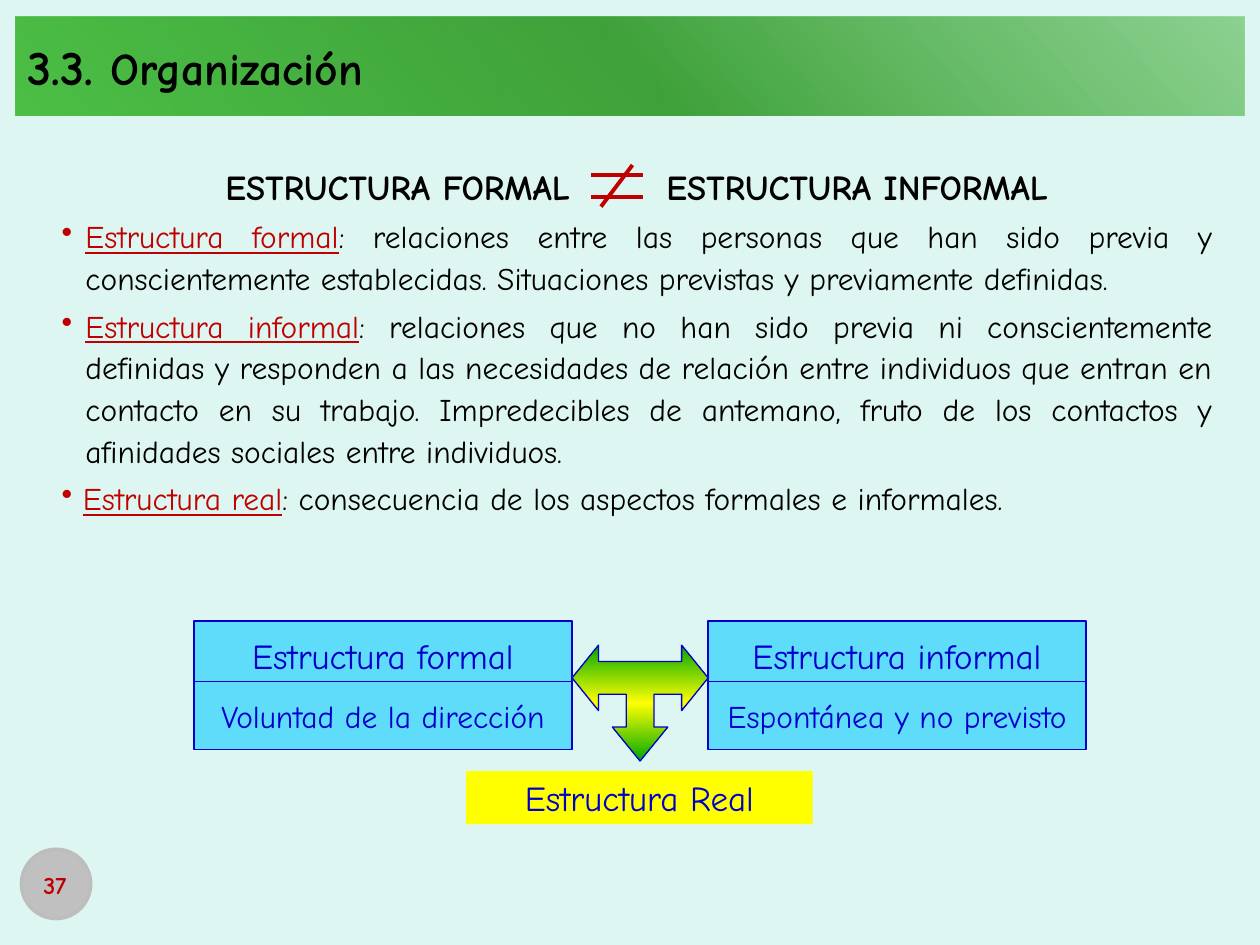
from lxml import etree
from pptx import Presentation
from pptx.dml.color import RGBColor
from pptx.enum.shapes import MSO_CONNECTOR, MSO_SHAPE as SHAPE
from pptx.enum.text import MSO_ANCHOR as ANCHOR, PP_ALIGN as ALIGN
from pptx.oxml import parse_xml
from pptx.oxml.ns import nsdecls, qn
from pptx.util import Inches, Pt

MINT = RGBColor(0xDE, 0xF6, 0xF1)
RED = RGBColor(0xC0, 0x00, 0x00)
BLACK = RGBColor(0x00, 0x00, 0x00)
BLUE = RGBColor(0x00, 0x00, 0xCC)
CYAN = RGBColor(0x5F, 0xDC, 0xF9)
YELLOW = RGBColor(0xFF, 0xFF, 0x00)
GREY = RGBColor(0xC0, 0xC0, 0xC0)
DARK_GREY = RGBColor(0xBD, 0xBD, 0xBD)
LIME = RGBColor(0x00, 0xA8, 0x00)
LEAF = RGBColor(0x52, 0xB7, 0x4D)
FOREST = RGBColor(0x3F, 0xA1, 0x3A)
GRASS = RGBColor(0x4B, 0xBF, 0x45)


class SlideBuilder:
    font = "Comic Neue"

    def __init__(self, prs):
        self.s = prs.slides.add_slide(prs.slide_layouts[6])
        fill = self.s.background.fill
        fill.solid()
        fill.fore_color.rgb = MINT

    def run(self, p, text, size, color, bold=False, underline=None):
        r = p.add_run()
        r.text = text
        f = r.font
        f.name, f.size, f.bold, f.underline = self.font, Pt(size), bold, underline
        f.color.rgb = color

    def line_style(self, sp, color, width):
        if color is None:
            sp.line.fill.background()
        else:
            sp.line.color.rgb = color
            sp.line.width = Pt(width)

    def shape(self, kind, x, y, w, h, fill=None, line=None, width=0.75):
        sp = self.s.shapes.add_shape(kind, Inches(x), Inches(y), Inches(w), Inches(h))
        sp.shadow.inherit = False
        if fill is not None:
            sp.fill.solid()
            sp.fill.fore_color.rgb = fill
        self.line_style(sp, line, width)
        return sp

    def label_box(self, text, size, x, y, w, h, fill, line=None):
        sp = self.shape(SHAPE.RECTANGLE, x, y, w, h, fill, line)
        tf = sp.text_frame
        tf.word_wrap = False
        tf.vertical_anchor = ANCHOR.MIDDLE
        tf.paragraphs[0].alignment = ALIGN.CENTER
        self.run(tf.paragraphs[0], text, size, BLUE)

    def text_frame(self, x, y, w, h, anchor=ANCHOR.TOP):
        box = self.s.shapes.add_textbox(Inches(x), Inches(y), Inches(w), Inches(h))
        tf = box.text_frame
        tf.word_wrap = True
        tf.vertical_anchor = anchor
        return tf

    def bullet(self, tf, term, text, indent):
        p = tf.add_paragraph()
        pPr = p._p.get_or_add_pPr()
        pPr.set("marL", str(Inches(indent)))
        pPr.set("indent", str(-Inches(indent)))
        color = etree.SubElement(pPr, qn("a:buClr"))
        etree.SubElement(color, qn("a:srgbClr"), val=str(RED))
        etree.SubElement(pPr, qn("a:buChar"), char="•")
        p.alignment = ALIGN.JUSTIFY
        p.line_spacing = 1.1
        p.space_before = Pt(3.6)
        self.run(p, term, 18, RED, underline=True)
        self.run(p, text, 18, BLACK)

    def gradient(self, sp, stops, angle):
        """Stops are (position %, colour, opacity %); the angle runs clockwise."""
        sp.fill.gradient()
        old = sp._element.spPr.find(qn("a:gradFill"))
        stop_xml = "".join(
            f'<a:gs pos="{pos * 1000}"><a:srgbClr val="{color}">'
            f'<a:alpha val="{alpha * 1000}"/></a:srgbClr></a:gs>'
            for pos, color, alpha in stops)
        new = parse_xml(
            f'<a:gradFill {nsdecls("a")} rotWithShape="1"><a:gsLst>{stop_xml}</a:gsLst>'
            f'<a:lin ang="{angle * 60000}" scaled="0"/></a:gradFill>')
        old.getparent().replace(old, new)

    def line(self, x1, y1, x2, y2, color, width):
        c = self.s.shapes.add_connector(
            MSO_CONNECTOR.STRAIGHT, Inches(x1), Inches(y1), Inches(x2), Inches(y2))
        self.line_style(c, color, width)
        etree.SubElement(c._element.spPr, qn("a:effectLst"))

    def polygon(self, points, line):
        pts = [(Inches(x), Inches(y)) for x, y in points]
        fb = self.s.shapes.build_freeform(*pts[0])
        fb.add_line_segments(pts[1:], close=True)
        sp = fb.convert_to_shape()
        sp.shadow.inherit = False
        self.line_style(sp, line, 0.75)
        return sp


def main():
    prs = Presentation()
    prs.slide_width, prs.slide_height = Inches(10), Inches(7.5)
    b = SlideBuilder(prs)

    # Slide number badge
    b.shape(SHAPE.OVAL, 0.17, 6.74, 0.55, 0.55, GREY, DARK_GREY, 2)
    p = b.text_frame(0.04, 6.82, 0.79, 0.4, ANCHOR.MIDDLE).paragraphs[0]
    p.alignment = ALIGN.CENTER
    b.run(p, "37", 14, RED, bold=True)

    # Heading and definitions
    tf = b.text_frame(0.39, 1.23, 9.33, 4.89)
    p = tf.paragraphs[0]
    p.alignment = ALIGN.CENTER
    p.line_spacing = 1.1
    b.run(p, "ESTRUCTURA FORMAL\t\tESTRUCTURA INFORMAL", 20, BLACK, bold=True)
    definitions = [
        ("Estructura formal",
         ": relaciones entre las personas que han sido previa y conscientemente "
         "establecidas. Situaciones previstas y previamente definidas.", 0.19),
        ("Estructura informal",
         ": relaciones que no han sido previa ni conscientemente definidas y responden "
         "a las necesidades de relación entre individuos que entran en contacto en su "
         "trabajo. Impredecibles de antemano, fruto de los contactos y afinidades "
         "sociales entre individuos.", 0.19),
        ("Estructura real",
         ": consecuencia de los aspectos formales e informales.", 0.17),
    ]
    for term, text, indent in definitions:
        b.bullet(tf, term, text, indent)

    # Not-equal sign
    for y in (1.39, 1.56):
        b.line(4.69, y, 5.1, y, RED, 2.25)
    b.line(5.02, 1.31, 4.77, 1.64, RED, 2.25)

    # Formal and informal boxes, with the result below
    columns = [(5.62, "Estructura informal", "Espontánea y no previsto"),
               (1.54, "Estructura formal", "Voluntad de la dirección")]
    for x, name, trait in columns:
        b.label_box(name, 20, x, 4.93, 3, 0.54, CYAN, BLUE)
        b.label_box(trait, 18, x, 5.41, 3, 0.54, CYAN, BLUE)
    b.label_box("Estructura Real", 20, 3.7, 6.12, 2.75, 0.42, YELLOW)

    # Three-way arrow, mirrored about its axis
    axis = 5.08
    half = [(0.33, 5.25), (0.33, 5.12), (0.54, 5.38), (0.33, 5.64), (0.33, 5.51),
            (0.11, 5.51), (0.11, 5.77), (0.22, 5.77)]
    right = [(axis + dx, y) for dx, y in half]
    left = [(axis - dx, y) for dx, y in reversed(half)]
    arrow = b.polygon(right + [(axis, 6.04)] + left, BLUE)
    b.gradient(arrow, [(0, LIME, 100), (50, YELLOW, 100), (100, LIME, 100)], 90)

    # Title band
    band = b.shape(SHAPE.RECTANGLE, 0.12, 0.13, 9.76, 0.79)
    b.gradient(band, [(0, LEAF, 58), (50, FOREST, 100), (100, GRASS, 100)], 139)
    band.text_frame.vertical_anchor = ANCHOR.MIDDLE
    p = band.text_frame.paragraphs[0]
    p.alignment = ALIGN.LEFT
    b.run(p, "3.3. ", 28, BLACK, bold=True)
    b.run(p, "Organización", 26, BLACK, bold=True)

    prs.save("out.pptx")


if __name__ == "__main__":
    main()
